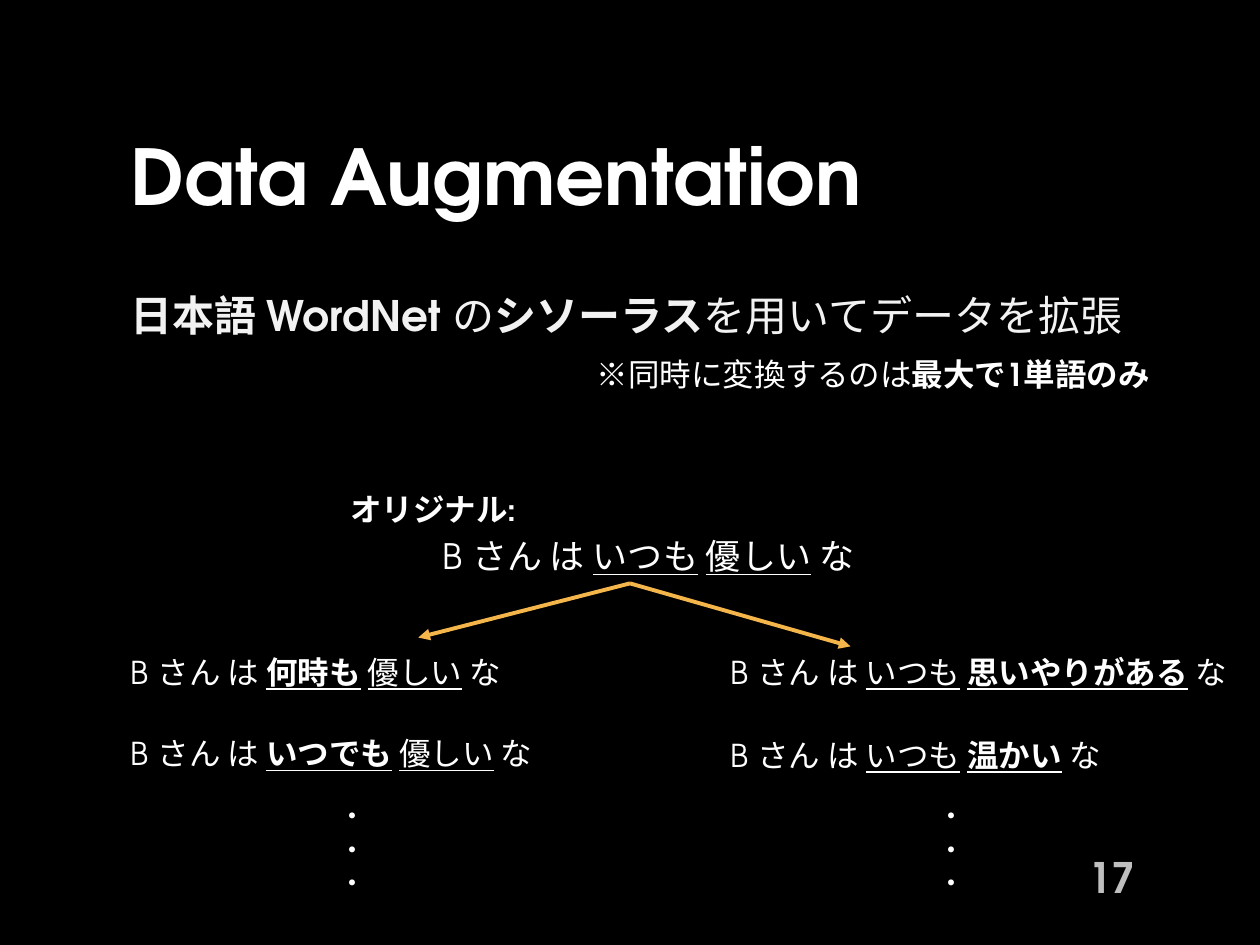
"""Build the Data Augmentation slide with its example sentences."""
from lxml.etree import SubElement
from pptx import Presentation
from pptx.dml.color import RGBColor
from pptx.enum.shapes import MSO_CONNECTOR
from pptx.enum.text import MSO_ANCHOR, PP_ALIGN
from pptx.oxml.ns import qn
from pptx.util import Inches, Pt

BLACK = RGBColor(0x00, 0x00, 0x00)
WHITE = RGBColor(0xFF, 0xFF, 0xFF)
OFF_WHITE = RGBColor(0xF2, 0xF2, 0xF2)
GRAY = RGBColor(0xBF, 0xBF, 0xBF)
ORANGE = RGBColor(0xF4, 0xB5, 0x4B)
FONT = "TeX Gyre Adventor"
LEFT_COLUMN, RIGHT_COLUMN = 0.94, 5.7

presentation = Presentation()
presentation.slide_width = Inches(10)
presentation.slide_height = Inches(7.5)
slide = presentation.slides.add_slide(presentation.slide_layouts[6])
slide.background.fill.solid()
slide.background.fill.fore_color.rgb = BLACK


def add_text(position, paragraphs, size, color=WHITE, align=PP_ALIGN.LEFT,
             anchor=MSO_ANCHOR.TOP):
    """Add a text box; each run is (text, style), style holding b and u."""
    shape = slide.shapes.add_textbox(*[Inches(value) for value in position])
    frame = shape.text_frame
    frame.word_wrap = True
    frame.vertical_anchor = anchor
    for index, runs in enumerate(paragraphs):
        paragraph = frame.add_paragraph() if index else frame.paragraphs[0]
        paragraph.alignment = align
        for text, style in runs:
            run = paragraph.add_run()
            run.text = text
            run.font.name = FONT
            run.font.size = Pt(size)
            run.font.color.rgb = color
            run.font.bold = "b" in style
            run.font.underline = "u" in style
    return shape


body = add_text((LEFT_COLUMN, 2.14, 8.36, 1.67),
                [[("日本語 WordNet ", "b"), ("の", ""), ("シソーラス", "b"),
                  ("を用いてデータを拡張", "")]], 24, OFF_WHITE)
body.text_frame.margin_top = Inches(0.16)
add_text((7.81, 6.76, 1.3, 0.4), [[("17", "b")]], 24, GRAY,
         PP_ALIGN.RIGHT, MSO_ANCHOR.MIDDLE)
add_text((4.56, 2.77, 4.74, 0.4),
         [[("※同時に変換するのは", ""), ("最大で1単語のみ", "b")]],
         18, align=PP_ALIGN.CENTER)
add_text((LEFT_COLUMN, 0.94, 8.12, 0.9), [[("Data Augmentation", "b")]], 44,
         anchor=MSO_ANCHOR.MIDDLE)

add_text((3.32, 4.19, 3.71, 0.44),
         [[("B さん は ", ""), ("いつも", "u"), (" ", ""), ("優しい", "u"),
           (" な ", "")]], 20, align=PP_ALIGN.CENTER)

variants = [
    (LEFT_COLUMN, 5.13, 3.71, ("何時も", "bu"), ("優しい", "u")),
    (LEFT_COLUMN, 5.78, 4.07, ("いつでも", "bu"), ("優しい", "u")),
    (RIGHT_COLUMN, 5.13, 4.74, ("いつも", "u"), ("思いやりがある", "bu")),
    (RIGHT_COLUMN, 5.79, 4.74, ("いつも", "u"), ("温かい", "bu")),
]
for left, top, width, adverb, adjective in variants:
    add_text((left, top, width, 0.4),
             [[("B さん は ", ""), adverb, (" ", ""), adjective,
               (" な", "")]], 18)

for end_x, end_y in [(3.32, 5.06), (6.75, 5.13)]:
    arrow = slide.shapes.add_connector(
        MSO_CONNECTOR.STRAIGHT, Inches(5), Inches(4.63),
        Inches(end_x), Inches(end_y))
    arrow.line.color.rgb = ORANGE
    arrow.line.width = Pt(2.25)
    SubElement(arrow.line._get_or_add_ln(), qn("a:tailEnd"), type="triangle")
    SubElement(arrow._element.spPr, qn("a:effectLst"))

for left in (LEFT_COLUMN, RIGHT_COLUMN):
    add_text((left, 6.29, 3.71, 1.17), [[("・", "")]] * 3, 16,
             align=PP_ALIGN.CENTER)

add_text((1.29, 3.84, 4.3, 0.4), [[("オリジナル:", "b")]], 18,
         align=PP_ALIGN.CENTER)

presentation.save("out.pptx")
